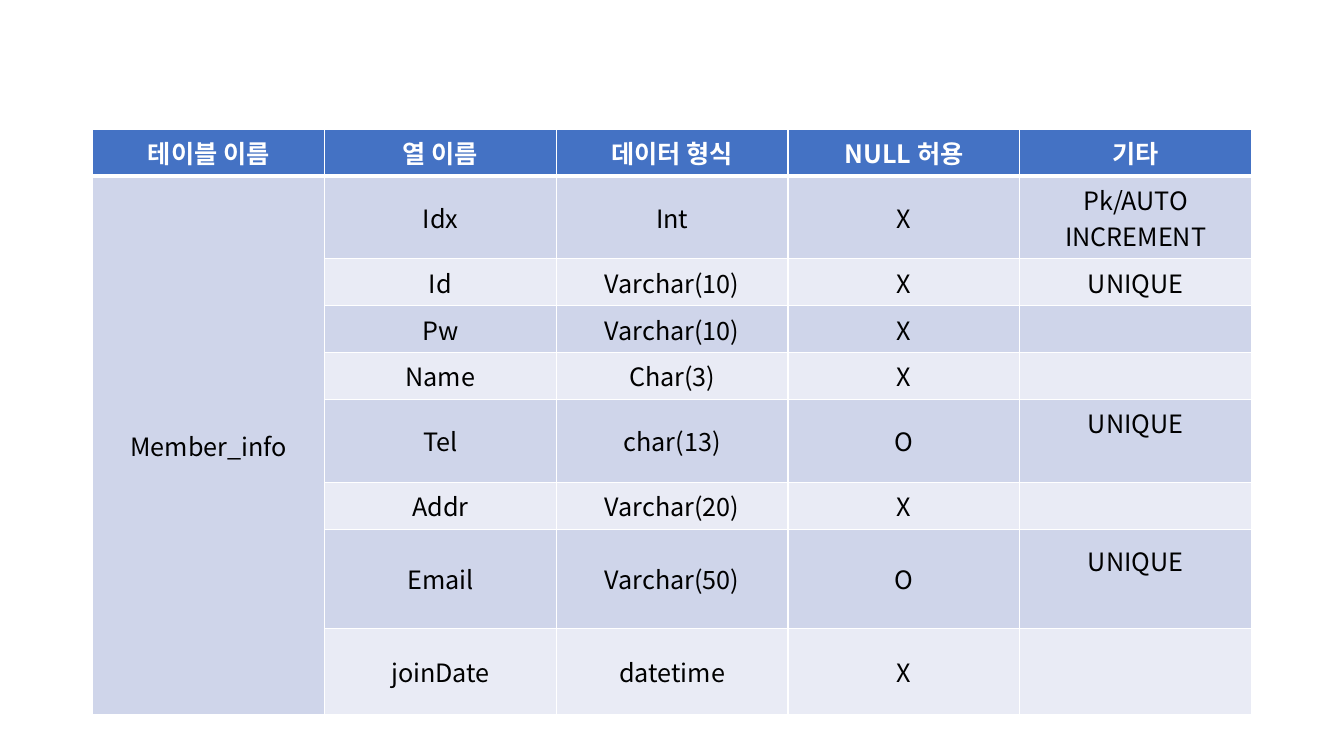
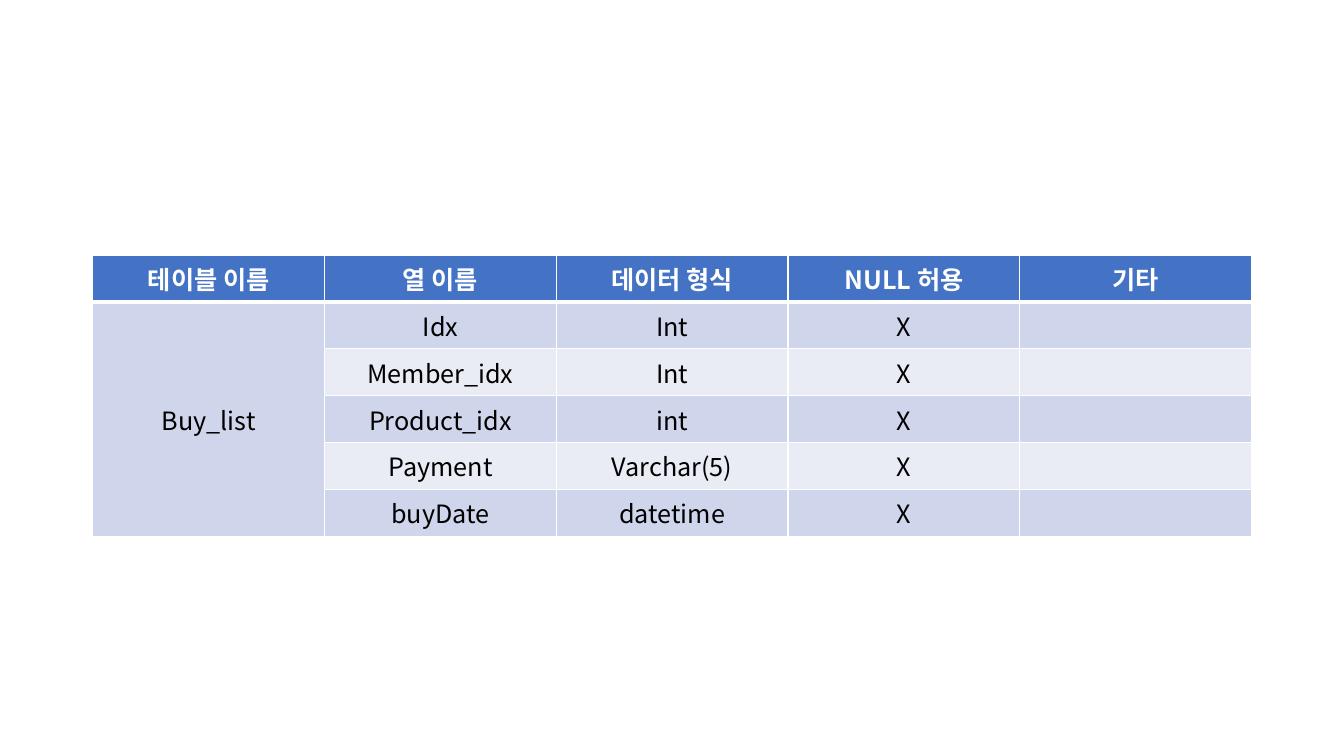
import pptx
import pptx.util
import pptx.dml.color
import pptx.enum.text
import pptx.oxml.ns
import lxml.etree

Cm, Pt, qn = pptx.util.Cm, pptx.util.Pt, pptx.oxml.ns.qn

# Shared look
FONT, SIZE = "Noto Sans CJK KR", 18
WHITE, BLACK, HEAD = "FFFFFF", "000000", "4472C4"
BANDS = ["CFD5EA", "E9EBF5"]
LEFT, COL_W, ROW_H = 2.34, 5.84, 1.18
TWO_LINES = 2.09
HEADINGS = ["테이블 이름", "열 이름", "데이터 형식", "NULL 허용", "기타"]

# Column name, data type, null allowed, remark, row height
MEMBER_ROWS = [
    ("Idx", "Int", "X", "Pk/AUTO INCREMENT", TWO_LINES),
    ("Id", "Varchar(10)", "X", "UNIQUE", ROW_H),
    ("Pw", "Varchar(10)", "X", "", ROW_H),
    ("Name", "Char(3)", "X", "", ROW_H),
    ("Tel", "char(13)", "O", "UNIQUE", TWO_LINES),
    ("Addr", "Varchar(20)", "X", "", ROW_H),
    ("Email", "Varchar(50)", "O", "UNIQUE", 2.51),
    ("joinDate", "datetime", "X", "", 2.16),
]
BUY_ROWS = [
    ("Idx", "Int", "X", "", ROW_H),
    ("Member_idx", "Int", "X", "", ROW_H),
    ("Product_idx", "int", "X", "", ROW_H),
    ("Payment", "Varchar(5)", "X", "", ROW_H),
    ("buyDate", "datetime", "X", "", ROW_H),
]


def rgb(value):
    return pptx.dml.color.RGBColor.from_string(value)


def set_borders(cell, top, bottom):
    """White rules on all four sides, widths in points."""
    tc_pr = cell._tc.get_or_add_tcPr()
    widths = {"a:lnL": 1, "a:lnR": 1, "a:lnT": top, "a:lnB": bottom}
    for i, (tag, width) in enumerate(widths.items()):
        ln = lxml.etree.Element(qn(tag), w=str(Pt(width)))
        fill = lxml.etree.SubElement(ln, qn("a:solidFill"))
        lxml.etree.SubElement(fill, qn("a:srgbClr"), val=WHITE)
        tc_pr.insert(i, ln)


def write_cell(cell, text, color, bold):
    cell.vertical_anchor = pptx.enum.text.MSO_ANCHOR.MIDDLE
    p = cell.text_frame.paragraphs[0]
    p.alignment = pptx.enum.text.PP_ALIGN.CENTER
    p.font.size = Pt(SIZE)
    if not text:
        return
    r = p.add_run()
    r.text = text
    r.font.name, r.font.size, r.font.bold = FONT, Pt(SIZE), bold
    r.font.color.rgb = rgb(color)
    lxml.etree.SubElement(r._r.get_or_add_rPr(), qn("a:ea"), typeface=FONT)


def add_schema_table(s, top, name, rows):
    heights = [ROW_H] + [row[-1] for row in rows]
    frame = s.shapes.add_table(len(heights), len(HEADINGS), Cm(LEFT), Cm(top),
                               Cm(COL_W * len(HEADINGS)), Cm(sum(heights)))
    table = frame.table
    table.first_row = table.horz_banding = False
    for col in table.columns:
        col.width = Cm(COL_W)

    # Header row, then banded rows; the table name spans them all
    lines = [HEADINGS] + [(name if i == 0 else "",) + row[:-1]
                          for i, row in enumerate(rows)]
    for i, (line, height) in enumerate(zip(lines, heights)):
        table.rows[i].height = Cm(height)
        header = i == 0
        for j, text in enumerate(line):
            cell = table.cell(i, j)
            cell.fill.solid()
            cell.fill.fore_color.rgb = rgb(HEAD if header else BANDS[(i - 1) % 2])
            set_borders(cell, 3 if i == 1 else 1, 3 if header else 1)
            write_cell(cell, text, WHITE if header else BLACK, header)
            # A one-line remark in a tall row sits half a line above the middle
            if text == "UNIQUE" and height > ROW_H:
                cell.margin_bottom = Cm(1.04)
    table.cell(1, 0).merge(table.cell(len(rows), 0))


def main():
    prs = pptx.Presentation()
    prs.slide_width, prs.slide_height = Cm(33.87), Cm(19.05)
    blank = prs.slide_layouts[6]
    for top, name, rows in [(3.25, "Member_info", MEMBER_ROWS),
                            (6.43, "Buy_list", BUY_ROWS)]:
        add_schema_table(prs.slides.add_slide(blank), top, name, rows)
    prs.save("out.pptx")


main()
